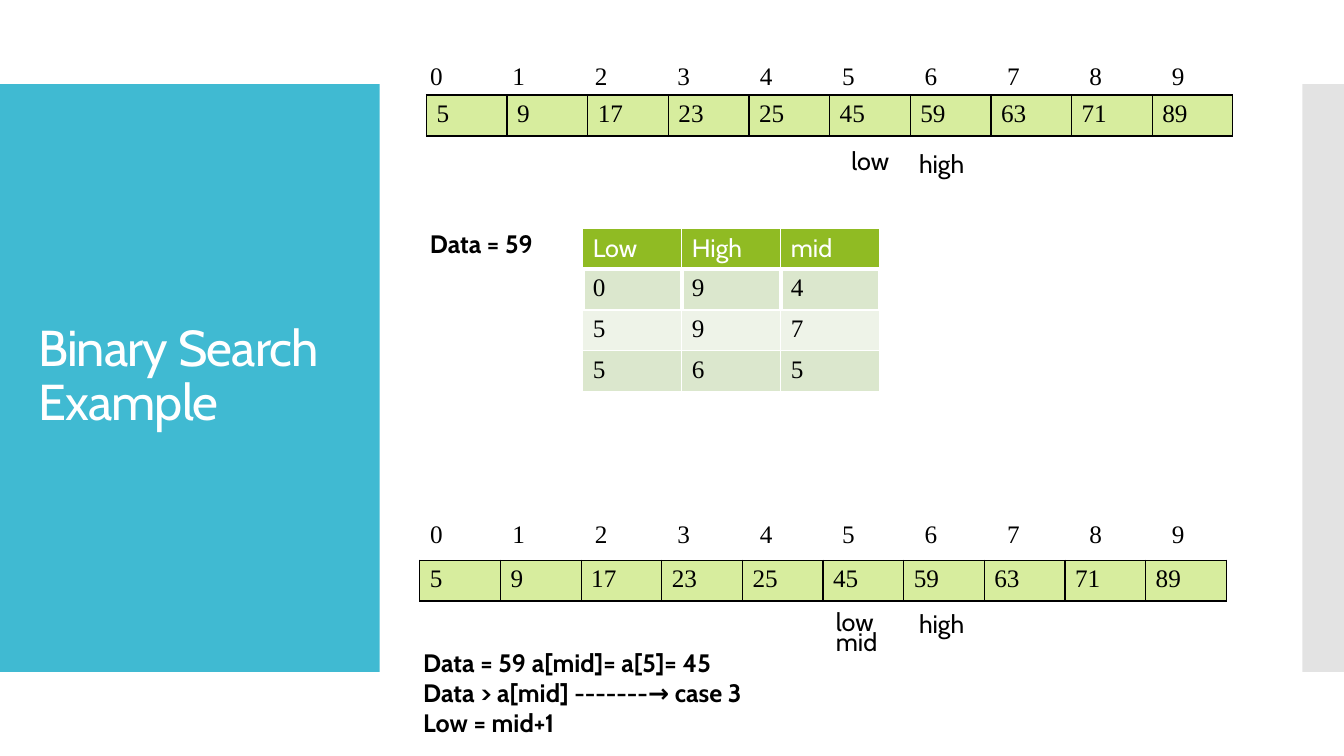
from dataclasses import dataclass

from lxml.etree import SubElement
from pptx import Presentation
from pptx.dml.color import RGBColor
from pptx.enum.shapes import MSO_SHAPE
from pptx.enum.text import MSO_ANCHOR, MSO_AUTO_SIZE, PP_ALIGN
from pptx.oxml.ns import qn
from pptx.util import Pt


@dataclass(frozen=True)
class Theme:
    panel: str = "40BAD2"
    edge: str = "C8C8C8"
    array: str = "D7ED9E"
    header: str = "90BB23"
    band_dark: str = "DBE7CD"
    band_light: str = "EEF3E8"
    white: str = "FFFFFF"
    black: str = "000000"
    sans: str = "Cabin"
    serif: str = "Times New Roman"
    title_size: int = 36
    text_size: int = 18


class SearchPage:
    def __init__(self, deck, theme):
        self.theme = theme
        self.page = deck.slides.add_slide(deck.slide_layouts[5])
        self.shapes = self.page.shapes

    def style(self, para, font_name, color, size, bold=False):
        para.font.name = font_name
        para.font.size = Pt(size)
        para.font.bold = bold
        para.font.color.rgb = RGBColor.from_string(color)

    def panel(self, left, width, color, opacity=100):
        panel = self.shapes.add_shape(
            MSO_SHAPE.RECTANGLE, Pt(left), Pt(60), Pt(width), Pt(420)
        )
        panel.shadow.inherit = False
        panel.fill.solid()
        panel.fill.fore_color.rgb = RGBColor.from_string(color)
        panel.line.fill.background()
        if opacity < 100:
            tint = panel.element.spPr.find(qn("a:solidFill"))[0]
            SubElement(tint, qn("a:alpha"), val=str(opacity * 1000))
        self.shapes.title.element.addprevious(panel.element)

    def title(self, text, left, top, width, height):
        title = self.shapes.title
        title.left, title.top = Pt(left), Pt(top)
        title.width, title.height = Pt(width), Pt(height)
        frame = title.text_frame
        frame.text = text
        frame.word_wrap = True
        frame.auto_size = MSO_AUTO_SIZE.NONE
        frame.vertical_anchor = MSO_ANCHOR.MIDDLE
        para = frame.paragraphs[0]
        para.alignment = PP_ALIGN.LEFT
        para.line_spacing = 0.9
        self.style(para, self.theme.sans, self.theme.white, self.theme.title_size)
        para.runs[0].font._element.set("spc", "-60")

    def text(self, lines, left, top, width, bold=False):
        box = self.shapes.add_textbox(Pt(left), Pt(top), Pt(width), Pt(7.2 + 21.8 * len(lines)))
        frame = box.text_frame
        frame.word_wrap = True
        frame.auto_size = MSO_AUTO_SIZE.SHAPE_TO_FIT_TEXT
        frame.text = "\n".join(lines)
        for para in frame.paragraphs:
            self.style(para, self.theme.sans, self.theme.black, self.theme.text_size, bold)

    def borders(self, cell, color, width, bottom):
        properties = cell._tc.get_or_add_tcPr()
        for side in ("L", "R", "T", "B"):
            points = bottom if side == "B" else width
            line = SubElement(properties, qn(f"a:ln{side}"), w=str(Pt(points)))
            if color:
                fill = SubElement(line, qn("a:solidFill"))
                SubElement(fill, qn("a:srgbClr"), val=color)
            else:
                SubElement(line, qn("a:noFill"))

    def table(self, rows, left, top, column, fills, border=None, header=False):
        row_height = 29.2
        table = self.shapes.add_table(
            len(rows), len(rows[0]), Pt(left), Pt(top),
            Pt(column * len(rows[0])), Pt(row_height * len(rows)),
        ).table
        table.first_row = header
        table.horz_banding = False
        for grid_column in table.columns:
            grid_column.width = Pt(column)
        for row_index, (values, fill) in enumerate(zip(rows, fills)):
            table.rows[row_index].height = Pt(row_height)
            heading = header and row_index == 0
            name = self.theme.sans if heading else self.theme.serif
            color = self.theme.white if heading else self.theme.black
            after_heading = header and row_index == 1
            for column_index, value in enumerate(values):
                cell = table.cell(row_index, column_index)
                self.borders(cell, border, 3 if after_heading else 1, 3 if heading else 1)
                if fill:
                    cell.fill.solid()
                    cell.fill.fore_color.rgb = RGBColor.from_string(fill)
                else:
                    cell.fill.background()
                cell.text = str(value)
                self.style(cell.text_frame.paragraphs[0], name, color, self.theme.text_size)

    def array(self, values, left, top, index_top):
        self.table([values], left, top, 57.6, [self.theme.array], self.theme.black)
        self.table([range(len(values))], 300, index_top, 58.9, [None])


def main():
    deck = Presentation()
    deck.slide_width, deck.slide_height = Pt(960), Pt(540)
    theme = Theme()
    search = SearchPage(deck, theme)

    search.panel(0, 271.2, theme.panel)
    search.panel(930.2, 29.8, theme.edge, 50)
    search.title("Binary Search Example", 20, 88.5, 232, 362)

    numbers = [5, 9, 17, 23, 25, 45, 59, 63, 71, 89]
    search.array(numbers, 304.6, 67.9, 41.5)
    search.array(numbers, 299.9, 400.1, 368.7)

    steps = [("Low", "High", "mid"), (0, 9, 4), (5, 9, 7), (5, 6, 5)]
    bands = [theme.header, theme.band_dark, theme.band_light, theme.band_dark]
    search.table(steps, 416.3, 163, 70.75, bands, theme.white, header=True)

    for label, left, top in [
        ("low", 601, 100.2),
        ("high", 649.4, 102.4),
        ("low", 590, 429.2),
        ("high", 649.4, 431.2),
        ("mid", 590, 443.6),
    ]:
        search.text([label], left, top, 53)

    search.text(["Data = 59"], 300, 159.3, 612, bold=True)
    search.text(
        ["Data = 59 a[mid]= a[5]= 45", "Data > a[mid] -------→ case 3", "Low = mid+1"],
        295.2, 458.5, 612, bold=True,
    )
    deck.save("out.pptx")


if __name__ == "__main__":
    main()
